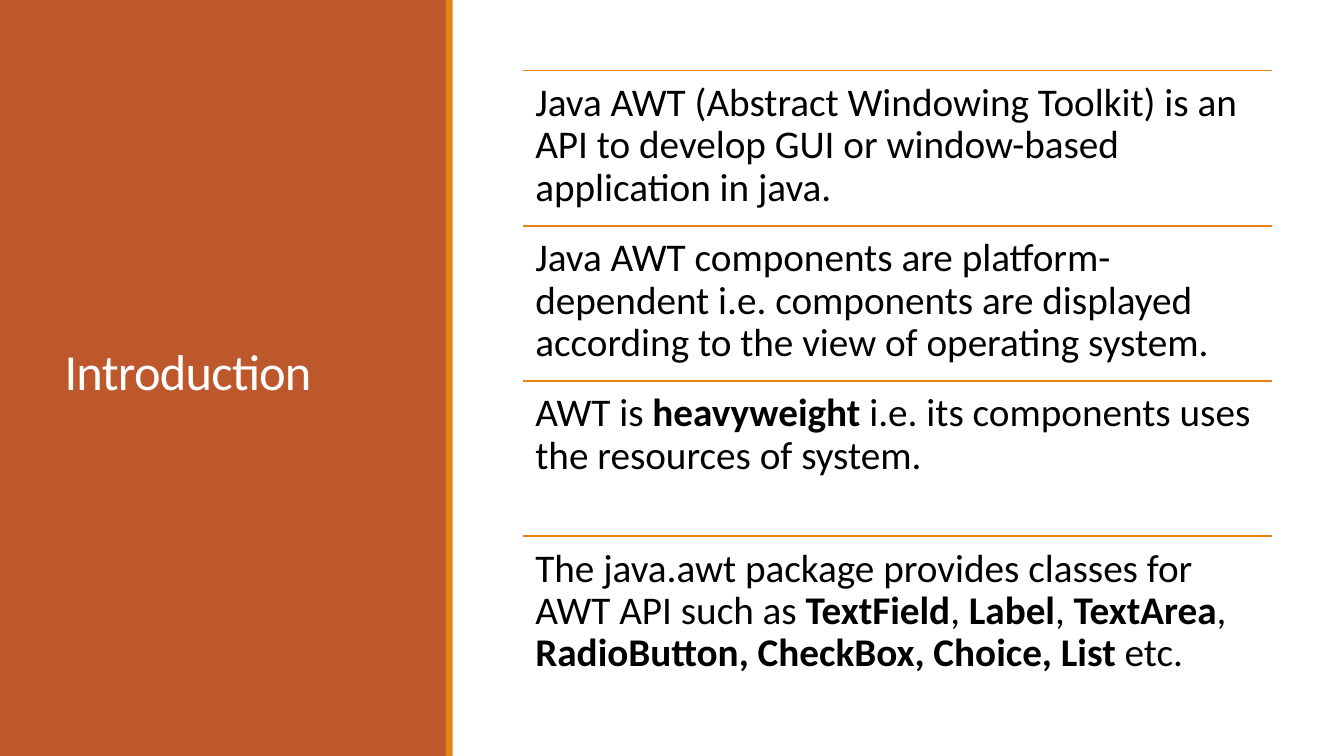
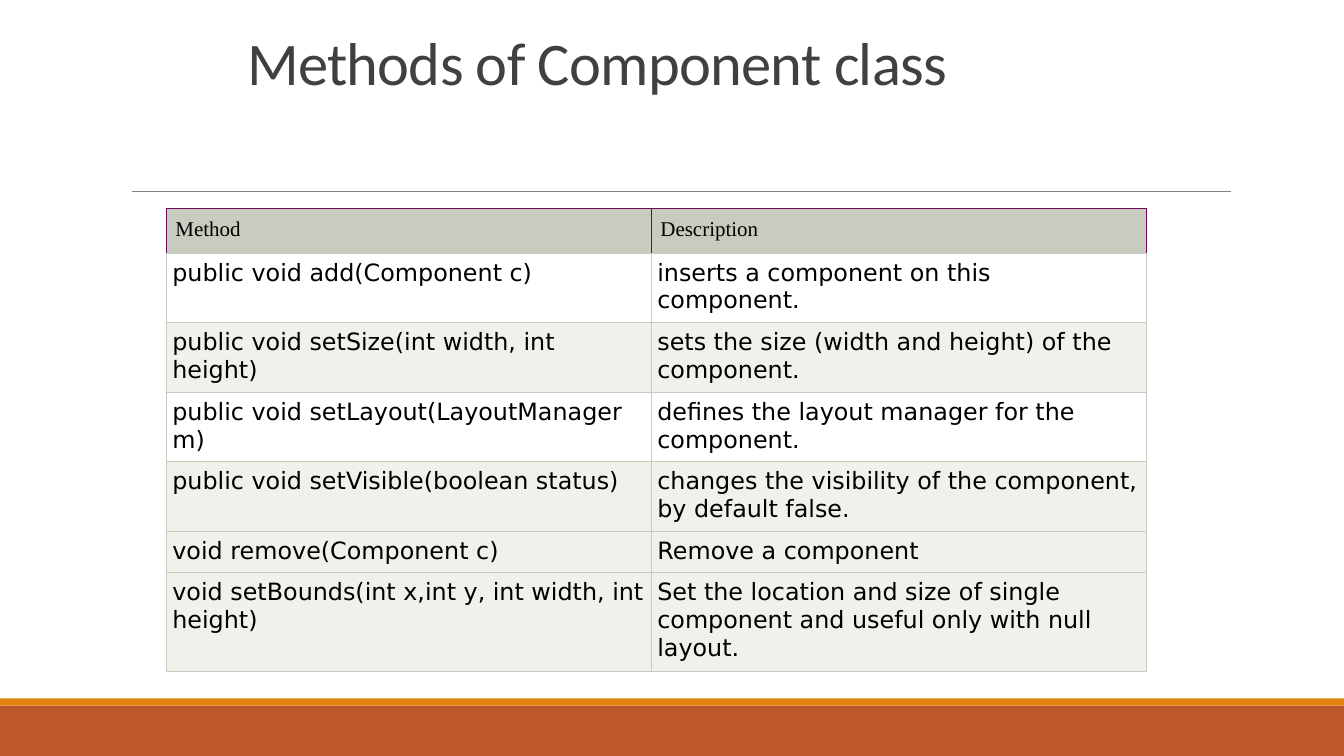
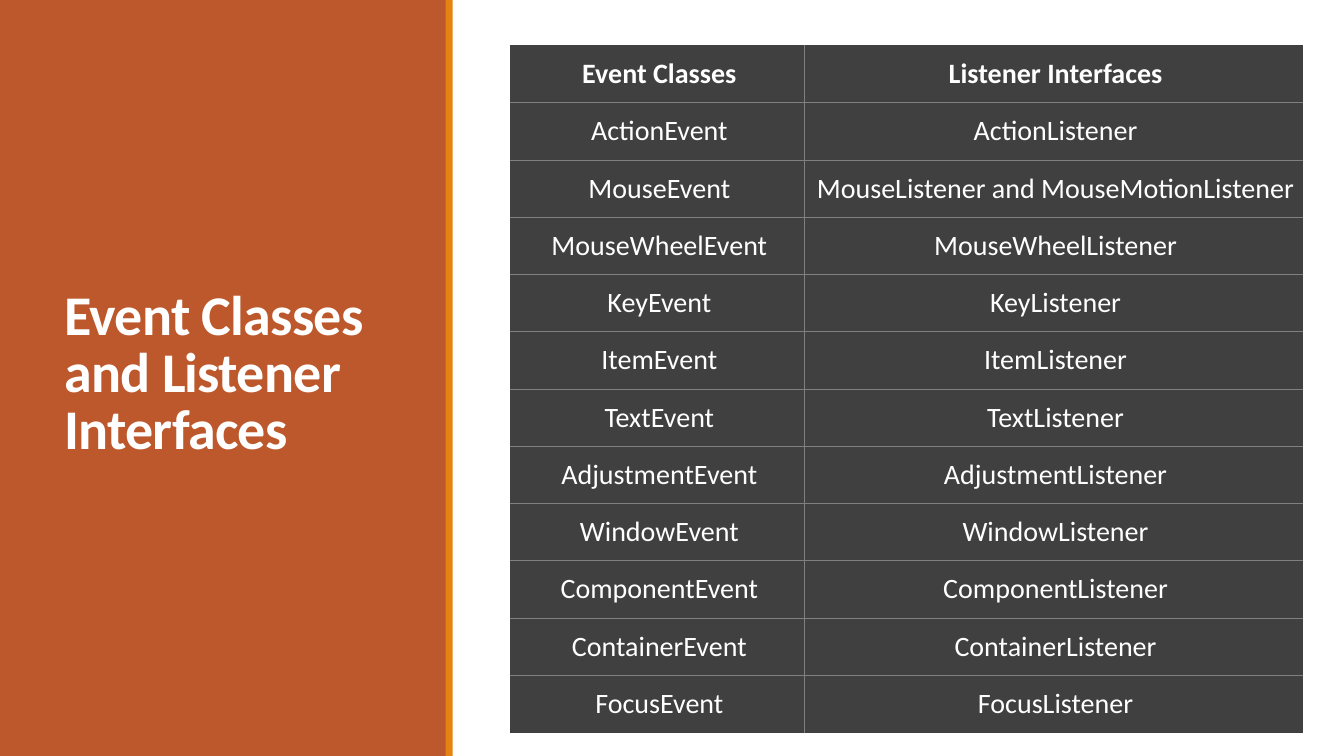
from lxml.etree import SubElement
from pptx import Presentation
from pptx.dml.color import RGBColor
from pptx.enum.shapes import MSO_CONNECTOR, MSO_SHAPE
from pptx.enum.text import MSO_ANCHOR, MSO_AUTO_SIZE, PP_ALIGN
from pptx.oxml.ns import qn
from pptx.util import Inches, Pt

WIDTH, HEIGHT = 13.33, 7.5
RUST, ORANGE, WHITE, BLACK = "BD582C", "E48312", "FFFFFF", "000000"
DARK, GRAY = "404040", "808080"
SAGE, PALE_SAGE, PLUM = "C7CCBE", "EFF1EB", "700458"
NO_STYLE = "{2D5ABB26-0587-4C30-8999-92F81FD0307C}"

INTRODUCTION = [
    "Java AWT (Abstract Windowing Toolkit) is an API to develop GUI or "
    "window-based application in java.",
    "Java AWT components are platform-dependent i.e. components are displayed "
    "according to the view of operating system.",
    "AWT is **heavyweight** i.e. its components uses the resources of system.",
    "The java.awt package provides classes for AWT API such as **TextField**, "
    "**Label**, **TextArea**, **RadioButton, CheckBox, Choice, List** etc.",
]

METHODS = [
    ("Method", "Description"),
    ("public void add(Component c)", "inserts a component on this component."),
    ("public void setSize(int width, int height)",
     "sets the size (width and height) of the component."),
    ("public void setLayout(LayoutManager m)",
     "defines the layout manager for the component."),
    ("public void setVisible(boolean status)",
     "changes the visibility of the component, by default false."),
    ("void remove(Component c)", "Remove a component"),
    ("void setBounds(int x,int y, int width, int height)",
     "Set the location and size of single component and useful only with null layout."),
]

LISTENERS = [
    ("Event Classes", "Listener Interfaces"),
    ("ActionEvent", "ActionListener"),
    ("MouseEvent", "MouseListener and MouseMotionListener"),
    ("MouseWheelEvent", "MouseWheelListener"),
    ("KeyEvent", "KeyListener"),
    ("ItemEvent", "ItemListener"),
    ("TextEvent", "TextListener"),
    ("AdjustmentEvent", "AdjustmentListener"),
    ("WindowEvent", "WindowListener"),
    ("ComponentEvent", "ComponentListener"),
    ("ContainerEvent", "ContainerListener"),
    ("FocusEvent", "FocusListener"),
]


def rgb(color):
    return RGBColor.from_string(color)


def set_font(font, size, color, name="Calibri", bold=False):
    font.size, font.name, font.bold = Pt(size), name, bold
    font.color.rgb = rgb(color)


def set_margins(target, left, top, right, bottom):
    target.margin_left, target.margin_top = Inches(left), Inches(top)
    target.margin_right, target.margin_bottom = Inches(right), Inches(bottom)


def set_borders(cell, width, **colors):
    """Draw the given sides (L, R, T, B) of a cell."""
    tcPr = cell._tc.get_or_add_tcPr()
    sides = [side for side in "LRTB" if side in colors]
    for i, side in enumerate(sides):
        ln = SubElement(tcPr, qn(f"a:ln{side}"), w=str(Pt(width)))
        fill = SubElement(ln, qn("a:solidFill"))
        SubElement(fill, qn("a:srgbClr"), val=colors[side])
        tcPr.insert(i, ln)


class Deck:
    """The shared style and the slide being built."""

    def __init__(self):
        self.prs = Presentation()
        self.prs.slide_width, self.prs.slide_height = Inches(WIDTH), Inches(HEIGHT)

    def new_slide(self):
        self.slide = self.prs.slides.add_slide(self.prs.slide_layouts[5])
        self.shapes = self.slide.shapes

    def side_panel_slide(self, title, size, bold=False):
        self.new_slide()
        self.rect(0, 0, 4.43, HEIGHT, RUST)
        self.title(title, (0.54, 0.57, 3.37, 6.31), size, WHITE, MSO_ANCHOR.MIDDLE, bold)
        self.rect(4.42, 0, 0.07, HEIGHT, ORANGE)

    def bottom_band_slide(self, title):
        self.new_slide()
        self.rect(0, 7, WIDTH, 0.5, RUST)
        self.rect(0, 6.93, WIDTH, 0.07, ORANGE)
        self.rule(1.31, 12.21, 1.9, GRAY, 0.5)
        self.title(title, (2.35, 0.36, 8.31, 0.66), 43.2, DARK, MSO_ANCHOR.BOTTOM)

    def rect(self, left, top, width, height, color):
        sp = self.shapes.add_shape(MSO_SHAPE.RECTANGLE, Inches(left), Inches(top),
                                   Inches(width), Inches(height))
        sp.shadow.inherit = False
        sp.fill.solid()
        sp.fill.fore_color.rgb = rgb(color)
        sp.line.fill.background()

    def rule(self, left, right, y, color, weight):
        line = self.shapes.add_connector(MSO_CONNECTOR.STRAIGHT, Inches(left), Inches(y),
                                         Inches(right), Inches(y))
        line.line.color.rgb = rgb(color)
        line.line.width = Pt(weight)
        SubElement(line.element.spPr, qn("a:effectLst"))

    def title(self, text, box, size, color, anchor, bold=False):
        sp = self.shapes.title
        sp.left, sp.top, sp.width, sp.height = map(Inches, box)
        sp.element.getparent().append(sp.element)  # above the panel
        tf = sp.text_frame
        tf.text, tf.word_wrap = text, True
        tf.auto_size, tf.vertical_anchor = MSO_AUTO_SIZE.NONE, anchor
        p = tf.paragraphs[0]
        p.alignment, p.line_spacing = PP_ALIGN.LEFT, 0.85
        set_font(p.font, size, color, bold=bold)
        for props in sp.element.iter(qn("a:defRPr")):
            props.set("spc", "-50")

    def text(self, marked, left, top, width, height):
        """Add a text box; **double stars** mark bold words."""
        sp = self.shapes.add_textbox(Inches(left), Inches(top), Inches(width), Inches(height))
        tf = sp.text_frame
        tf.word_wrap = True
        set_margins(tf, 0.12, 0.12, 0.12, 0.12)
        p = tf.paragraphs[0]
        p.line_spacing = 0.9
        set_font(p.font, 28, BLACK)
        for i, part in enumerate(marked.split("**")):
            r = p.add_run()
            r.text, r.font.bold = part, i % 2 == 1

    def table(self, rows, left, top, widths, heights):
        """Add an unstyled table and return it."""
        frame = self.shapes.add_table(len(rows), len(widths), Inches(left), Inches(top),
                                      Inches(sum(widths)), Inches(sum(heights)))
        for style in frame.element.iter(qn("a:tableStyleId")):
            style.text = NO_STYLE
        table = frame.table
        table.first_row = table.horz_banding = False
        for column, width in zip(table.columns, widths):
            column.width = Inches(width)
        for row, height, texts in zip(table.rows, heights, rows):
            row.height = Inches(height)
            for cell, text in zip(row.cells, texts):
                cell.text = text
        return table

    def style_cell(self, cell, fill, margins, size, color, name="Calibri", bold=False,
                   align=PP_ALIGN.LEFT, anchor=MSO_ANCHOR.TOP):
        cell.fill.solid()
        cell.fill.fore_color.rgb = rgb(fill)
        cell.vertical_anchor = anchor
        set_margins(cell, *margins)
        p = cell.text_frame.paragraphs[0]
        p.alignment = align
        set_font(p.font, size, color, name, bold)


def introduction(deck):
    deck.side_panel_slide("Introduction", 36)
    left, top, width, step = 5.19, 0.7, 7.43, 1.54
    for i, point in enumerate(INTRODUCTION):
        y = top + i * step
        deck.rule(left, left + width, y, ORANGE, 1.25)
        deck.text(point, left, y, width, step)


def component_methods(deck):
    deck.bottom_band_slide("Methods of Component class")
    heights = [0.44] + [0.69] * 4 + [0.41, 0.98]
    table = deck.table(METHODS, 1.65, 2.07, [4.81, 4.91], heights)
    for i, row in enumerate(table.rows):
        for cell in row.cells:
            if i == 0:
                deck.style_cell(cell, SAGE, [0.09] * 4, 15, BLACK, "Times New Roman")
                set_borders(cell, 0.75, L=PLUM, R=PLUM, T=PLUM, B=SAGE)
            else:
                fill = WHITE if i in (1, 3) else PALE_SAGE
                deck.style_cell(cell, fill, [0.06] * 4, 17, BLACK, "DejaVu Sans")
                set_borders(cell, 0.75, L=SAGE, R=SAGE, T=SAGE, B=SAGE)


def event_listeners(deck):
    deck.side_panel_slide("Event Classes and Listener Interfaces", 40, bold=True)
    count = len(LISTENERS)
    table = deck.table(LISTENERS, 5.06, 0.45, [2.92, 4.94], [6.82 / count] * count)
    for i, row in enumerate(table.rows):
        for j, cell in enumerate(row.cells):
            deck.style_cell(cell, DARK, (0.12, 0.09, 0.08, 0.09), 20, WHITE, bold=i == 0,
                            align=PP_ALIGN.CENTER, anchor=MSO_ANCHOR.MIDDLE)
            inner = {"L": j > 0, "R": j == 0, "T": i > 0, "B": i < count - 1}
            set_borders(cell, 0.5, **{side: GRAY for side in inner if inner[side]})


def main():
    deck = Deck()
    introduction(deck)
    component_methods(deck)
    event_listeners(deck)
    deck.prs.save("out.pptx")


if __name__ == "__main__":
    main()
